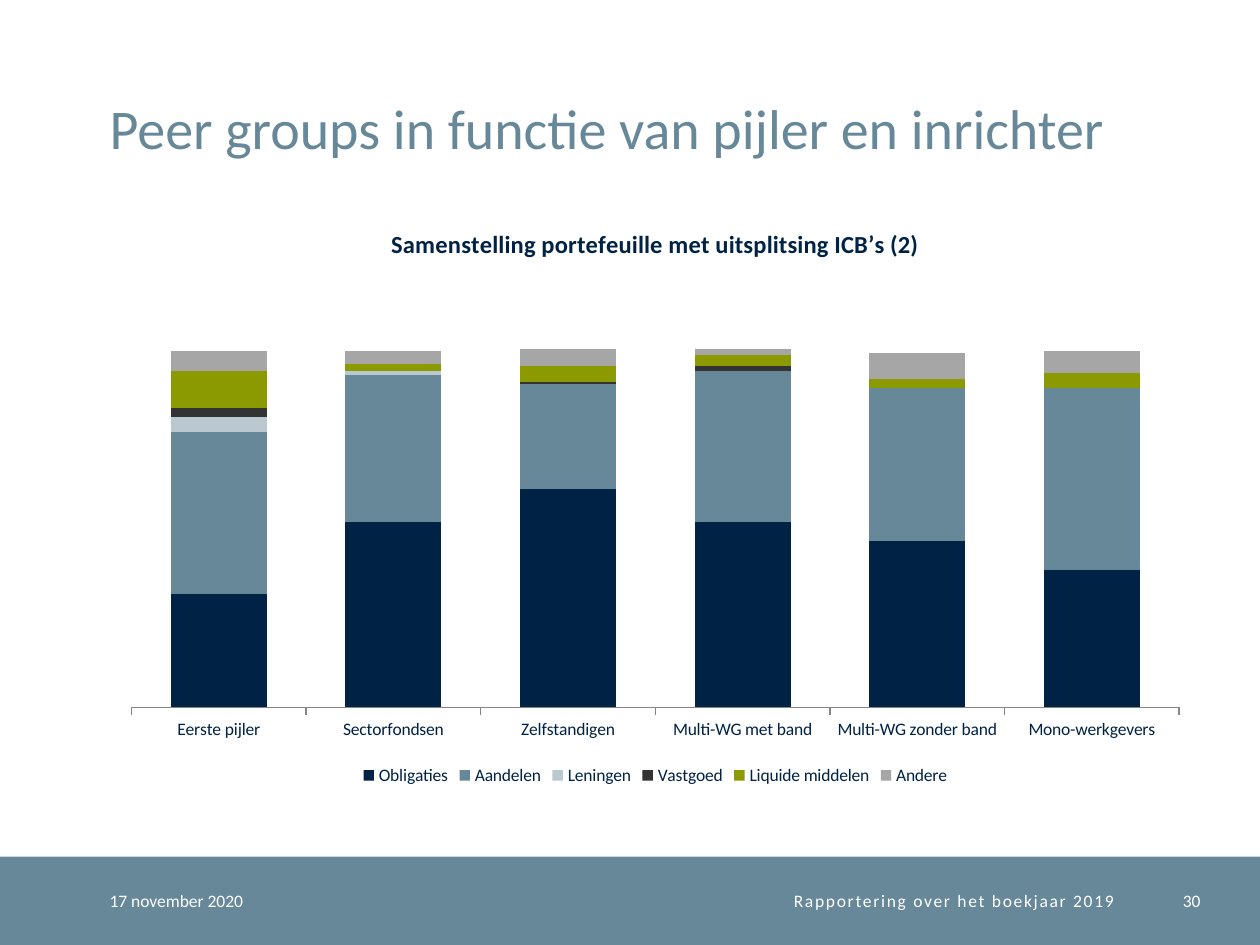
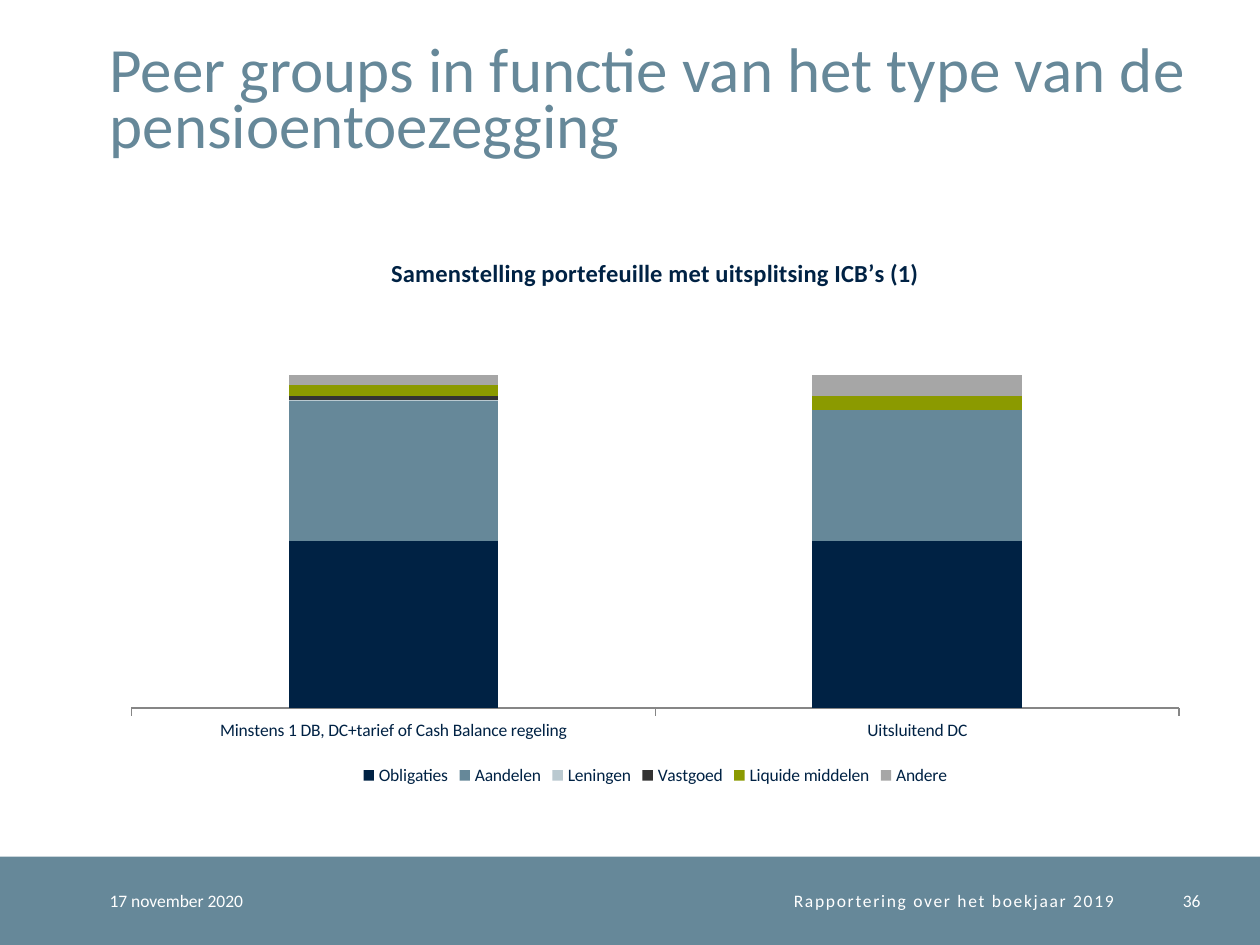
from pptx import Presentation, util as u
from pptx.chart.data import CategoryChartData
from pptx.dml.color import RGBColor
from pptx.enum import chart as ch, shapes, text

FONT = "Calibri"
NAVY, STEEL, WHITE, AXIS_GREY = "002244", "668899", "FFFFFF", "868686"
ASSET_COLOURS = {
    "Obligaties": NAVY,
    "Aandelen": STEEL,
    "Leningen": "BAC9D0",
    "Vastgoed": "333333",
    "Liquide middelen": "8B9A00",
    "Andere": "A6A6A6",
}
LEFT, CONTENT_WIDTH, CHART_BOTTOM = 2.21, 22, 15.93
BAND_TOP, BAND_HEIGHT = 17.27, 1.78

PEER_GROUPS = [
    dict(
        title="Peer groups in functie van pijler en inrichter",
        title_size=32, page="30", chart_top=4.11, gap=82, axis_max=196,
        chart_title="Samenstelling portefeuille met uitsplitsing ICB’s (2)",
        portfolios={
            "Eerste pijler": (52, 74, 7, 4, 17, 9),
            "Sectorfondsen": (85, 67, 2, 0, 3, 6),
            "Zelfstandigen": (100, 48, 0, 1, 7, 8),
            "Multi-WG met band": (85, 69, 0, 2, 5, 3),
            "Multi-WG zonder band": (76, 70, 0, 0, 4, 12),
            "Mono-werkgevers": (63, 83, 0, 0, 7, 10),
        },
    ),
    dict(
        title="Peer groups in functie van het type van de pensioentoezegging",
        title_size=36, page="36", chart_top=4.72, gap=150, axis_max=240,
        chart_title="Samenstelling portefeuille met uitsplitsing ICB’s (1)",
        portfolios={
            "Minstens 1 DB, DC+tarief of Cash Balance regeling": (100, 84, 1, 2, 7, 6),
            "Uitsluitend DC": (100, 79, 0, 0, 8, 13),
        },
    ),
]


def colour(hex_string):
    return RGBColor.from_string(hex_string)


def style_font(font, size, hex_string, bold=False):
    font.name, font.size, font.bold = FONT, u.Pt(size), bold
    font.color.rgb = colour(hex_string)


def write(frame, words, size, hex_string, anchor, align=text.PP_ALIGN.LEFT):
    """Fill a frame without insets with one paragraph and return it."""
    frame.word_wrap = True
    frame.auto_size = text.MSO_AUTO_SIZE.NONE
    frame.vertical_anchor = anchor
    frame.margin_left = frame.margin_right = frame.margin_top = frame.margin_bottom = 0
    paragraph = frame.paragraphs[0]
    paragraph.text = words
    paragraph.alignment = align
    style_font(paragraph.font, size, hex_string)
    return paragraph


def add_title(slide, words, size):
    title = slide.shapes.title
    title.left, title.top = u.Cm(LEFT), u.Cm(0.51)
    title.width, title.height = u.Cm(21.92), u.Cm(2.74)
    paragraph = write(title.text_frame, words, size, STEEL, text.MSO_ANCHOR.BOTTOM)
    paragraph.line_spacing = u.Pt(32)


def add_footer_text(slide, words, left, width, align):
    box = slide.shapes.add_textbox(u.Cm(left), u.Cm(BAND_TOP), u.Cm(width), u.Cm(BAND_HEIGHT))
    return write(box.text_frame, words, 10, WHITE, text.MSO_ANCHOR.MIDDLE, align)


def add_footer(slide, page):
    band = slide.shapes.add_shape(
        shapes.MSO_SHAPE.RECTANGLE, 0, u.Cm(BAND_TOP), u.Cm(25.4), u.Cm(BAND_HEIGHT))
    band.shadow.inherit = False
    band.fill.solid()
    band.fill.fore_color.rgb = colour(STEEL)
    band.line.fill.background()
    add_footer_text(slide, "17 november 2020", LEFT, 4.5, text.PP_ALIGN.LEFT)
    report = add_footer_text(
        slide, "Rapportering over het boekjaar 2019", 6.71, 15.75, text.PP_ALIGN.RIGHT)
    report.runs[0]._r.get_or_add_rPr().set("spc", "100")
    add_footer_text(slide, page, 22.96, 1.24, text.PP_ALIGN.RIGHT)


def add_portfolio_chart(slide, group):
    data = CategoryChartData()
    data.categories = list(group["portfolios"])
    for asset, values in zip(ASSET_COLOURS, zip(*group["portfolios"].values())):
        data.add_series(asset, values)
    top = group["chart_top"]
    chart = slide.shapes.add_chart(
        ch.XL_CHART_TYPE.COLUMN_STACKED, u.Cm(LEFT), u.Cm(top),
        u.Cm(CONTENT_WIDTH), u.Cm(CHART_BOTTOM - top), data).chart
    style_font(chart.font, 10, NAVY)

    heading = chart.chart_title.text_frame
    heading.text = group["chart_title"]
    style_font(heading.paragraphs[0].font, 14, NAVY, bold=True)

    chart.has_legend = True
    chart.legend.position = ch.XL_LEGEND_POSITION.BOTTOM
    chart.legend.include_in_layout = False

    plot = chart.plots[0]
    plot.gap_width, plot.overlap = group["gap"], 100
    plot.vary_by_categories = False
    for series in plot.series:
        series.format.fill.solid()
        series.format.fill.fore_color.rgb = colour(ASSET_COLOURS[series.name])

    chart.category_axis.major_tick_mark = ch.XL_TICK_MARK.OUTSIDE
    chart.category_axis.format.line.color.rgb = colour(AXIS_GREY)
    value_axis = chart.value_axis
    value_axis.minimum_scale, value_axis.maximum_scale = 0, group["axis_max"]
    value_axis.has_major_gridlines = False
    value_axis.visible = False


def main():
    deck = Presentation()
    deck.slide_width, deck.slide_height = u.Cm(25.4), u.Cm(19.05)
    title_only = deck.slide_layouts[5]
    for group in PEER_GROUPS:
        slide = deck.slides.add_slide(title_only)
        add_title(slide, group["title"], group["title_size"])
        add_footer(slide, group["page"])
        add_portfolio_chart(slide, group)
    deck.save("out.pptx")


if __name__ == "__main__":
    main()
